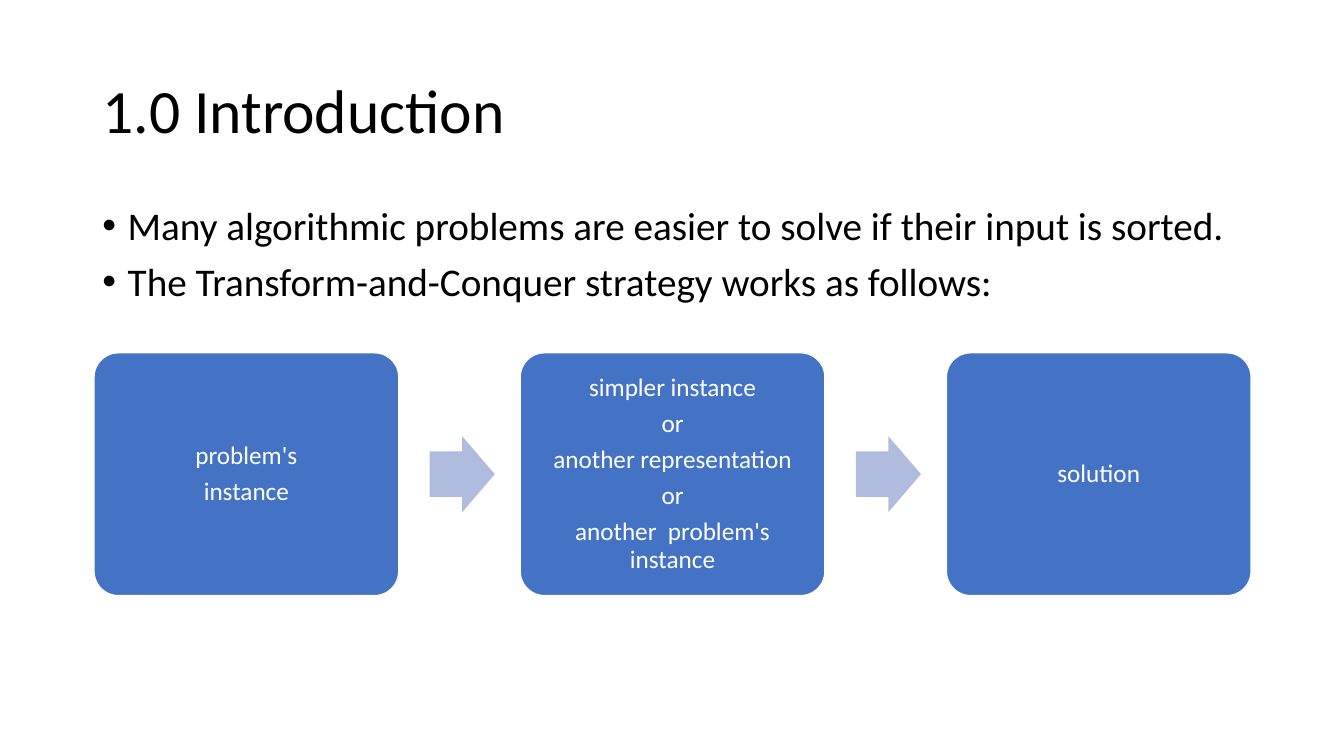
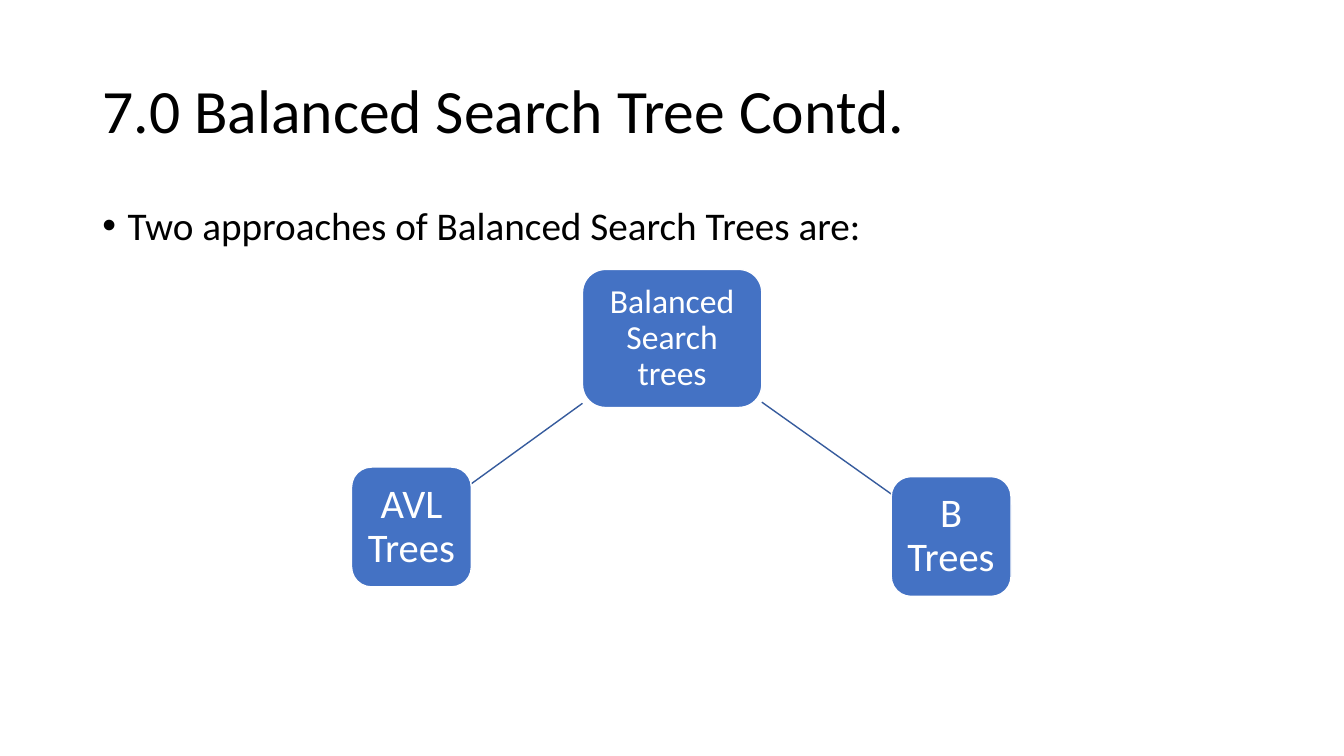
"""Build two lecture slides: a transform-and-conquer flow and a balanced search tree diagram."""
from lxml.etree import SubElement
from pptx import Presentation
from pptx.dml.color import RGBColor
from pptx.enum.shapes import MSO_CONNECTOR, MSO_SHAPE
from pptx.enum.text import MSO_ANCHOR, PP_ALIGN
from pptx.oxml.ns import qn
from pptx.util import Cm, Pt

FONT = "Calibri"
BLACK, WHITE = "000000", "FFFFFF"
BLUE, PALE_BLUE, LINE_BLUE = "4472C4", "B0BCDE", "365B9D"

SLIDE_WIDTH, SLIDE_HEIGHT = 33.87, 19.05
MARGIN, CONTENT_WIDTH = 2.33, 29.21
TITLE_TOP, TITLE_HEIGHT = 1.01, 3.68
BODY_TOP, BULLET_INDENT = 5.07, 0.64

INTRODUCTION = {
    "title": "1.0 Introduction",
    "bullets": [
        "Many algorithmic problems are easier to solve if their input is sorted.",
        "The Transform-and-Conquer strategy works as follows:",
    ],
    "body_height": 7.57,
}
FLOW_STEPS = [
    ["problem's", "instance"],
    ["simpler instance", "or", "another representation", "or", "another  problem's instance"],
    ["solution"],
]
FLOW_LEFT, FLOW_TOP, FLOW_PITCH = 2.37, 8.89, 10.74
STEP_WIDTH, STEP_HEIGHT = 7.68, 6.12
ARROW_GAP, ARROW_WIDTH, ARROW_HEIGHT = 0.78, 1.64, 1.91

SEARCH_TREES = {
    "title": "7.0 Balanced Search Tree Contd.",
    "bullets": ["Two approaches of Balanced Search Trees are:"],
    "body_height": 12.09,
}
ROOT = {"text": "Balanced Search trees", "box": (14.68, 6.79, 4.52, 3.48), "size": 24, "inset": 0.18}
CHILDREN = [
    {"text": "B Trees", "box": (22.46, 12.01, 3.02, 3.02), "size": 29, "inset": 0.2},
    {"text": "AVL Trees", "box": (8.86, 11.77, 3.02, 3.02), "size": 29, "inset": 0.2},
]


def color(value):
    return RGBColor.from_string(value)


def write_paragraphs(frame, lines, size, font_color, align=PP_ALIGN.LEFT, before=0, after=0):
    frame.word_wrap = True
    for index, line in enumerate(lines):
        paragraph = frame.add_paragraph() if index else frame.paragraphs[0]
        paragraph.alignment = align
        paragraph.line_spacing = 0.9
        paragraph.space_before = Pt(before)
        paragraph.space_after = Pt(after)
        run = paragraph.add_run()
        run.text = line
        run.font.name = FONT
        run.font.size = Pt(size)
        run.font.color.rgb = color(font_color)


def add_bullet(paragraph):
    properties = paragraph._p.get_or_add_pPr()
    properties.set("marL", str(Cm(BULLET_INDENT)))
    properties.set("indent", str(-Cm(BULLET_INDENT)))
    SubElement(properties, qn("a:buFont")).set("typeface", "Arial")
    SubElement(properties, qn("a:buChar")).set("char", "•")


def add_content_slide(presentation, content):
    slide = presentation.slides.add_slide(presentation.slide_layouts[6])
    title = slide.shapes.add_textbox(Cm(MARGIN), Cm(TITLE_TOP), Cm(CONTENT_WIDTH), Cm(TITLE_HEIGHT))
    title.text_frame.vertical_anchor = MSO_ANCHOR.MIDDLE
    write_paragraphs(title.text_frame, [content["title"]], 44, BLACK)
    body = slide.shapes.add_textbox(
        Cm(MARGIN), Cm(BODY_TOP), Cm(CONTENT_WIDTH), Cm(content["body_height"]))
    write_paragraphs(body.text_frame, content["bullets"], 28, BLACK, before=10)
    for paragraph in body.text_frame.paragraphs:
        add_bullet(paragraph)
    return slide


def add_filled_shape(slide, kind, box, fill, adjustments=()):
    shape = slide.shapes.add_shape(kind, *(Cm(length) for length in box))
    shape.shadow.inherit = False
    shape.fill.solid()
    shape.fill.fore_color.rgb = color(fill)
    shape.line.fill.background()
    for index, value in enumerate(adjustments):
        shape.adjustments[index] = value
    return shape


def add_node(slide, box, lines, size, inset, adjustments=()):
    node = add_filled_shape(slide, MSO_SHAPE.ROUNDED_RECTANGLE, box, BLUE, adjustments)
    node.line.color.rgb = color(WHITE)
    node.line.width = Pt(1)
    frame = node.text_frame
    frame.margin_left = frame.margin_right = frame.margin_top = frame.margin_bottom = Cm(inset)
    frame.vertical_anchor = MSO_ANCHOR.MIDDLE
    write_paragraphs(frame, lines, size, WHITE, PP_ALIGN.CENTER, after=0.35 * size)


def center(box):
    left, top, width, height = box
    return left + width / 2, top + height / 2


def side_point(box, target):
    """Return where the line from the box centre to the target crosses the left or right side."""
    x, y = center(box)
    target_x, target_y = center(target)
    reach = box[2] / 2 if target_x > x else -box[2] / 2
    return x + reach, y + reach * (target_y - y) / (target_x - x)


def add_branch(slide, parent, child):
    points = side_point(parent, child) + side_point(child, parent)
    branch = slide.shapes.add_connector(MSO_CONNECTOR.STRAIGHT, *(Cm(value) for value in points))
    branch.line.color.rgb = color(LINE_BLUE)
    branch.line.width = Pt(1)
    SubElement(branch._element.spPr, qn("a:effectLst"))


def add_flow(slide):
    arrow_top = FLOW_TOP + (STEP_HEIGHT - ARROW_HEIGHT) / 2
    for index, lines in enumerate(FLOW_STEPS):
        left = FLOW_LEFT + index * FLOW_PITCH
        add_node(slide, (left, FLOW_TOP, STEP_WIDTH, STEP_HEIGHT), lines, 18, 0.18, [0.1])
        if index < len(FLOW_STEPS) - 1:
            arrow_box = (left + STEP_WIDTH + ARROW_GAP, arrow_top, ARROW_WIDTH, ARROW_HEIGHT)
            add_filled_shape(slide, MSO_SHAPE.RIGHT_ARROW, arrow_box, PALE_BLUE, [0.6, 0.5])


def add_tree(slide):
    for child in CHILDREN:
        add_branch(slide, ROOT["box"], child["box"])
    for node in [ROOT, *CHILDREN]:
        add_node(slide, node["box"], [node["text"]], node["size"], node["inset"])


def main():
    presentation = Presentation()
    presentation.slide_width = Cm(SLIDE_WIDTH)
    presentation.slide_height = Cm(SLIDE_HEIGHT)
    add_flow(add_content_slide(presentation, INTRODUCTION))
    add_tree(add_content_slide(presentation, SEARCH_TREES))
    presentation.save("out.pptx")


if __name__ == "__main__":
    main()
